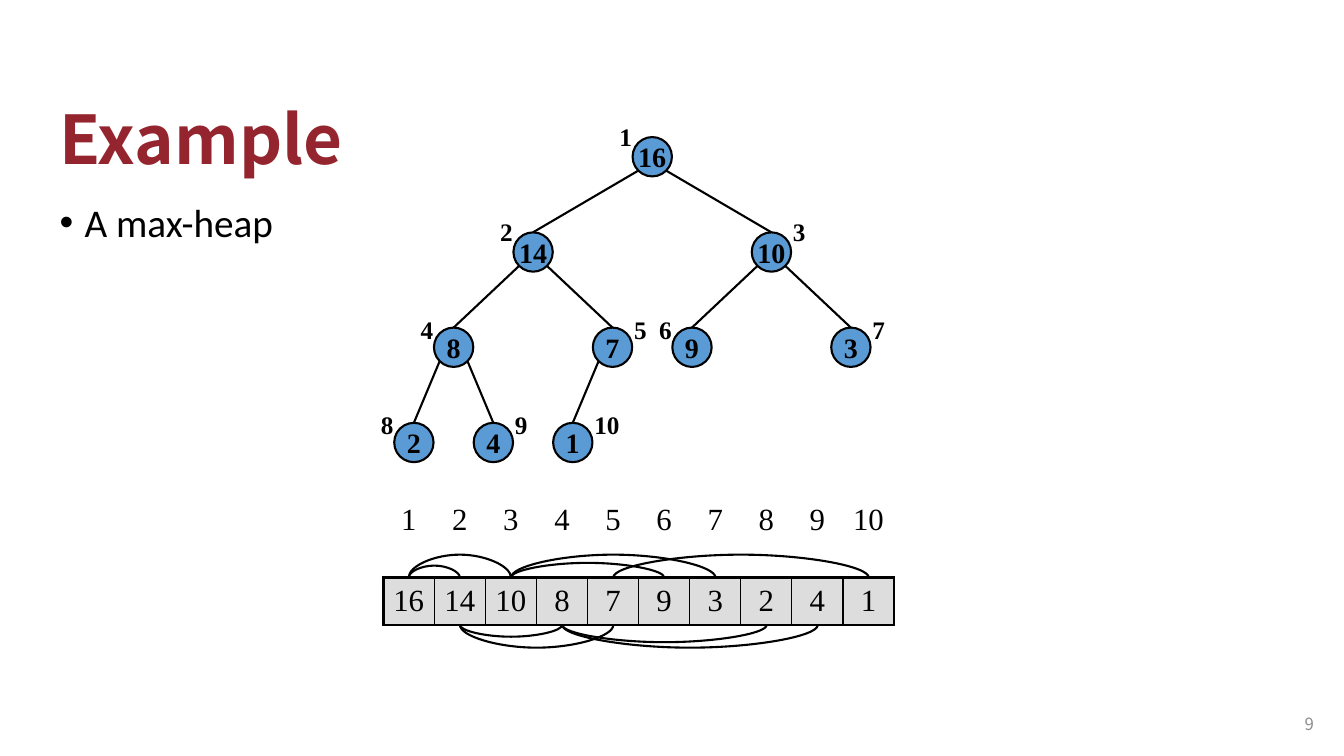
from math import sqrt
from lxml.etree import SubElement
from pptx import Presentation
from pptx.dml.color import RGBColor
from pptx.enum.shapes import MSO_CONNECTOR, MSO_SHAPE
from pptx.enum.text import MSO_ANCHOR, MSO_AUTO_SIZE, PP_ALIGN
from pptx.oxml.ns import qn
from pptx.util import Emu, Inches, Pt

COLORS = {"title": "94252E", "ink": "000000", "node": "5B9BD5",
          "cell": "DDDDDD", "number": "8C8C8C"}
FONTS = {
    "title": {"name": "Noto Sans CJK SC", "size": Pt(48), "bold": True},
    "body": {"name": "Calibri", "size": Pt(28)},
    "number": {"name": "Noto Sans CJK SC", "size": Pt(12)},
    "node": {"name": "Times New Roman", "size": Pt(20), "bold": True},
    "index": {"name": "Times New Roman", "size": Pt(18), "bold": True},
    "cell": {"name": "Times New Roman", "size": Pt(22), "bold": False},
}

HEAP = [16, 14, 10, 8, 7, 9, 3, 2, 4, 1]
NODE_COLUMNS = [6, 3, 9, 1, 5, 7, 11, 0, 2, 4]
INDEX_SIDES = "LLRLRLRLRR"
ARCS_ABOVE = [(1, 2, 0.13), (1, 3, 0.25), (3, 6, 0.16), (3, 7, 0.25), (5, 10, 0.25)]
ARCS_BELOW = [(2, 4, 0.13), (2, 5, 0.25), (4, 8, 0.19), (4, 9, 0.25)]

TREE_LEFT, TREE_TOP = 3.91, 1.36
COLUMN_STEP, LEVEL_STEP, DIAMETER = 0.394, 0.945, 0.39
INDEX_OFFSETS = {"L": -0.23, "R": 0.31}
ARRAY_LEFT, ARRAY_TOP, CELL_WIDTH = 3.8, 4.93, 0.507
ROW_HEIGHTS = [0.47, 0.33, 0.47]
THICK, THIN = 2.25, 1
ARC_THICKNESS = Emu(1588)

deck = Presentation()
deck.slide_width, deck.slide_height = Inches(13.33), Inches(7.5)
slide = deck.slides.add_slide(deck.slide_layouts[1])
shapes = slide.shapes


def color(key):
    return RGBColor.from_string(COLORS[key])


def write(frame, text, style, ink="ink", align=PP_ALIGN.LEFT):
    paragraph = frame.paragraphs[0]
    paragraph.alignment = align
    run = paragraph.add_run()
    run.text = str(text)
    for name, value in FONTS[style].items():
        setattr(run.font, name, value)
    run.font.color.rgb = color(ink)
    return paragraph


def place(shape, left, top, width, height):
    shape.left, shape.top = Inches(left), Inches(top)
    shape.width, shape.height = Inches(width), Inches(height)


def connect(kind, *ends):
    link = shapes.add_connector(kind, *ends)
    link.line.color.rgb = color("ink")
    link.line.width = Pt(1.5)
    SubElement(link._element.spPr, qn("a:effectLst"))
    return link


def label(text, box, style, ink="ink", align=PP_ALIGN.LEFT, wrap=False):
    frame = shapes.add_textbox(*map(Inches, box)).text_frame
    frame.word_wrap = wrap
    write(frame, text, style, ink, align)
    return frame


def node_corner(index):
    level = index.bit_length() - 1
    return (TREE_LEFT + NODE_COLUMNS[index - 1] * COLUMN_STEP,
            TREE_TOP + level * LEVEL_STEP)


def draw_edge(child):
    parent_left, parent_top = node_corner(child // 2)
    child_left, child_top = node_corner(child)
    radius = DIAMETER / 2
    reach = radius / sqrt(2)
    side = -1 if child % 2 == 0 else 1
    ends = (parent_left + radius + side * reach, parent_top + radius + reach,
            child_left + radius, child_top)
    connect(MSO_CONNECTOR.STRAIGHT, *map(Inches, ends))


def draw_node(index):
    left, top = node_corner(index)
    node = shapes.add_shape(MSO_SHAPE.OVAL, *map(Inches, (left, top, DIAMETER, DIAMETER)))
    node.shadow.inherit = False
    node.fill.solid()
    node.fill.fore_color.rgb = color("node")
    node.line.color.rgb = color("ink")
    node.line.width = Pt(1.5)
    node.text_frame.word_wrap = False
    node.text_frame.vertical_anchor = MSO_ANCHOR.MIDDLE
    write(node.text_frame, HEAP[index - 1], "node", align=PP_ALIGN.CENTER)
    lift = 0.21 if index < 4 else 0.18
    width = 0.45 if index > 9 else 0.33
    label(index, (left + INDEX_OFFSETS[INDEX_SIDES[index - 1]], top - lift, width, 0.4), "index")


def draw_border(cell, edge, width):
    line = SubElement(cell._tc.get_or_add_tcPr(), qn("a:ln" + edge), w=str(Pt(width)))
    fill = SubElement(line, qn("a:solidFill"))
    SubElement(fill, qn("a:srgbClr"), val=COLORS["ink"])


def draw_array():
    count = len(HEAP)
    frame = shapes.add_table(3, count, *map(Inches, (
        ARRAY_LEFT, ARRAY_TOP, CELL_WIDTH * count, sum(ROW_HEIGHTS))))
    array = frame.table
    array.first_row = array.horz_banding = False
    array._tbl.tblPr.find(qn("a:tableStyleId")).text = "{2D5ABB26-0587-4C30-8999-92F81FD0307C}"
    for row, height in zip(array.rows, ROW_HEIGHTS):
        row.height = Inches(height)
    for position, value in enumerate(HEAP):
        array.columns[position].width = Inches(CELL_WIDTH)
        heading, gap, entry = (array.cell(row, position) for row in range(3))
        for cell, text in ((heading, position + 1), (entry, value)):
            cell.vertical_anchor = MSO_ANCHOR.MIDDLE
            write(cell.text_frame, text, "cell", align=PP_ALIGN.CENTER)
        gap.margin_top = gap.margin_bottom = 0
        draw_border(gap, "B", THICK)
        draw_border(entry, "L", THICK if position == 0 else THIN)
        draw_border(entry, "R", THICK if position == count - 1 else THIN)
        draw_border(entry, "T", THICK)
        draw_border(entry, "B", THICK)
        heading.fill.background()
        gap.fill.background()
        entry.fill.solid()
        entry.fill.fore_color.rgb = color("cell")


def draw_arc(first, last, depth, base, rotation, flip, sign):
    span = (last - first) * CELL_WIDTH
    middle = ARRAY_LEFT + ((first + last) / 2 - 0.5) * CELL_WIDTH
    left, top = Inches(middle), Inches(base - span / 2)
    arc = connect(MSO_CONNECTOR.CURVE, left, top, left + ARC_THICKNESS, top + Inches(span))
    properties = arc._element.spPr
    transform = properties.find(qn("a:xfrm"))
    transform.set("rot", str(rotation * 60000))
    transform.set(flip, "1")
    adjustments = properties.find(qn("a:prstGeom")).find(qn("a:avLst"))
    bend = round(sign * Inches(depth) / ARC_THICKNESS * 100000)
    SubElement(adjustments, qn("a:gd"), name="adj1", fmla=f"val {bend}")


title, body = shapes.title, slide.placeholders[1]
place(title, 0.49, 0.88, 11.69, 0.95)
place(body, 0.49, 1.97, 11.69, 4.37)
for part, text, style, ink, anchor in (
        (title, "Example", "title", "title", MSO_ANCHOR.BOTTOM),
        (body, "A max-heap", "body", "ink", MSO_ANCHOR.TOP)):
    part.text_frame.auto_size = MSO_AUTO_SIZE.NONE
    part.text_frame.vertical_anchor = anchor
    write(part.text_frame, text, style, ink).line_spacing = 0.9
bullet = body.text_frame.paragraphs[0]
bullet.space_before = Pt(10)
indents = bullet._p.get_or_add_pPr()
indents.set("marL", str(Inches(0.25)))
indents.set("indent", str(Inches(-0.25)))

number = label(9, (12.53, 6.98, 0.6, 0.4), "number", "number", PP_ALIGN.RIGHT, True)
number.vertical_anchor = MSO_ANCHOR.MIDDLE

for child in range(2, len(HEAP) + 1):
    draw_edge(child)
for index in range(1, len(HEAP) + 1):
    draw_node(index)

draw_array()
array_bottom = ARRAY_TOP + sum(ROW_HEIGHTS)
for arc in ARCS_ABOVE:
    draw_arc(*arc, array_bottom - ROW_HEIGHTS[-1], 90, "flipV", -1)
for arc in ARCS_BELOW:
    draw_arc(*arc, array_bottom, 270, "flipH", 1)

deck.save("out.pptx")
